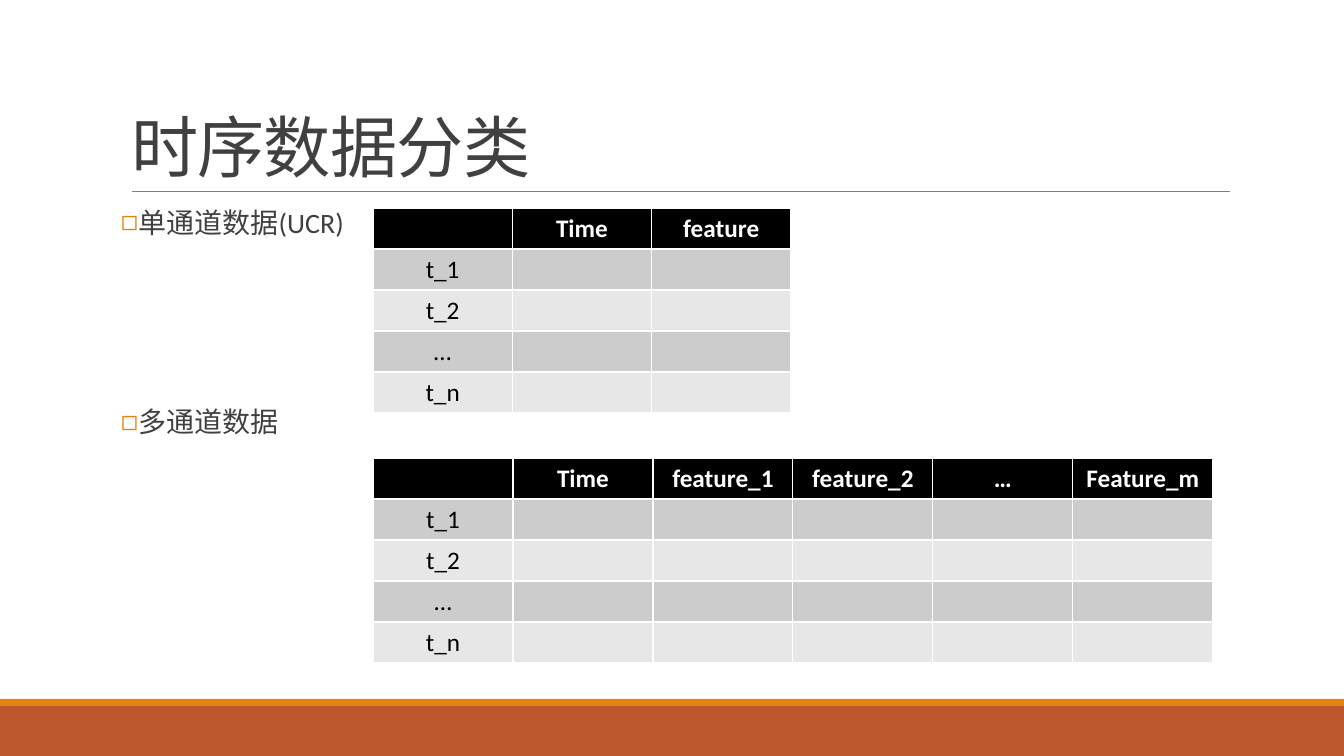
from lxml import etree
from pptx import Presentation, util as u
from pptx.dml.color import RGBColor
from pptx.enum import shapes, text
from pptx.oxml.ns import qn

PX = 12192000 // 1344 + 3 / 7


def px(*nums):
    return [round(n * PX) for n in nums]


def paint(target, tone):
    if hasattr(target, "solid"):
        target.solid()
        target = target.fore_color
    elif hasattr(target, "color"):
        target = target.color
    target.rgb = RGBColor.from_string(tone)


deck = Presentation()
deck.slide_width, deck.slide_height = px(1344, 756)
slide = deck.slides.add_slide(deck.slide_layouts[1])

for top, high, tone in [(706, 50, "BD582C"), (699, 7, "E48312")]:
    band = slide.shapes.add_shape(
        shapes.MSO_SHAPE.RECTANGLE, *px(0, top, 1344, high))
    band.shadow.inherit = False
    paint(band.fill, tone)
    band.line.fill.background()

rule = slide.shapes.add_connector(
    shapes.MSO_CONNECTOR.STRAIGHT, *px(132, 191, 1230, 191))
paint(rule.line, "808080")
rule.line.width = u.Pt(0.5)
etree.SubElement(rule._element.spPr, qn("a:effectLst"))

title, body = slide.placeholders
title.left, title.top, title.width, title.height = px(121, 31, 1109, 160)
head = title.text_frame
head.text = "时序数据分类"
head.auto_size = text.MSO_AUTO_SIZE.NONE
head.vertical_anchor = text.MSO_ANCHOR.BOTTOM
line = head.paragraphs[0]
line.alignment = text.PP_ALIGN.LEFT
line.line_spacing = 0.85
line.font.name = "Calibri"
line.font.size = u.Pt(48)
paint(line.font, "404040")
line.runs[0]._r.get_or_add_rPr().set("spc", "-50")

body.left, body.top, body.width, body.height = px(121, 204, 1109, 444)
frame = body.text_frame
frame.text = "单通道数据(UCR)\n多通道数据"
frame.auto_size = text.MSO_AUTO_SIZE.NONE
frame.margin_left = frame.margin_right = 0
for item, gap in zip(frame.paragraphs, (12, 119)):
    props = item._p.get_or_add_pPr()
    props.set("marL", "91440")
    props.set("indent", "-91440")
    tint = etree.SubElement(props, qn("a:buClr"))
    etree.SubElement(tint, qn("a:srgbClr"), val="E48312")
    etree.SubElement(props, qn("a:buFont"), typeface="Calibri")
    etree.SubElement(props, qn("a:buChar"), char="◻")
    item.line_spacing = 0.9
    item.space_before = u.Pt(gap)
    item.space_after = u.Pt(2)
    item.font.name = "Calibri"
    item.font.size = u.Pt(20)
    paint(item.font, "404040")

steps = ["t_1", "t_2", "…", "t_n"]
grids = [
    (208, 418, ["", "Time", "feature"]),
    (458, 840, ["", "Time", "feature_1", "feature_2", "…", "Feature_m"]),
]
for top, wide, names in grids:
    table = slide.shapes.add_table(
        5, len(names), *px(373, top, wide, 205)).table
    rows = [names] + [[step] + [""] * (len(names) - 1) for step in steps]
    for r, row in enumerate(rows):
        fill = "000000" if r == 0 else ("E7E7E7", "CCCCCC")[r % 2]
        for c, word in enumerate(row):
            cell = table.cell(r, c)
            paint(cell.fill, fill)
            cell.text = word
            para = cell.text_frame.paragraphs[0]
            para.alignment = text.PP_ALIGN.CENTER
            para.font.name = "Calibri"
            para.font.size = u.Pt(18)
            para.font.bold = r == 0
            paint(para.font, "000000" if r else "FFFFFF")

deck.save("out.pptx")
